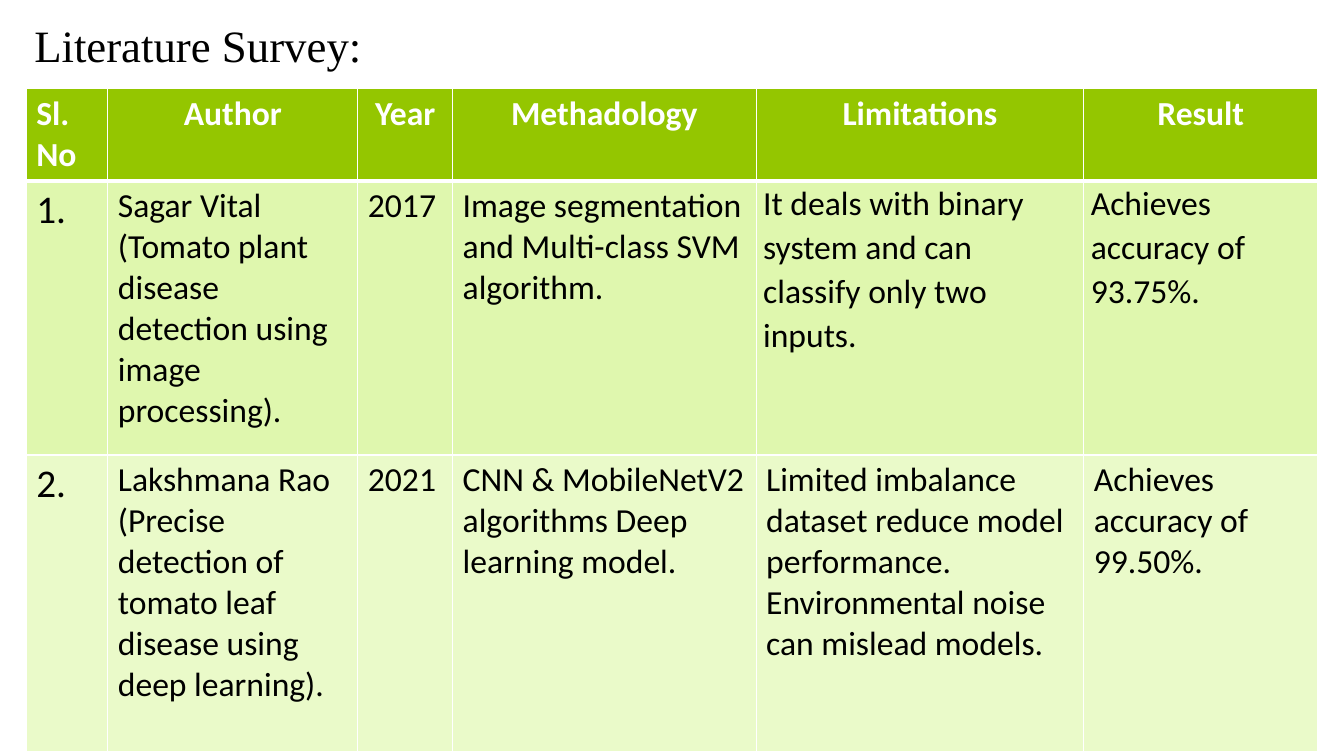
"""Build the literature survey slide: a title above a table of papers."""
from lxml.etree import SubElement
from pptx import Presentation
from pptx.dml.color import RGBColor
from pptx.enum.text import MSO_ANCHOR, PP_ALIGN
from pptx.oxml.ns import qn
from pptx.util import Inches, Pt

TITLE = "Literature Survey:"
ROWS = [
    ["Sl.\nNo", "Author", "Year", "Methadology", "Limitations", "Result"],
    ["1.", "Sagar Vital (Tomato plant disease detection using image processing).",
     "2017", "Image segmentation and Multi-class SVM algorithm.",
     "It deals with binary system and can classify only two inputs.",
     "Achieves accuracy of 93.75%."],
    ["2.", "Lakshmana Rao (Precise detection of tomato leaf disease using deep learning).",
     "2021", "CNN & MobileNetV2 algorithms Deep learning model.",
     "Limited imbalance dataset reduce model performance. "
     "Environmental noise can mislead models.",
     "Achieves accuracy of 99.50%."],
]
COLUMN_WIDTHS = [0.81, 2.48, 0.94, 3.01, 3.25, 2.32]
ROW_HEIGHTS = [0.9, 2.72, 2.94]
ROW_FILLS = ["94C600", "DFF7AE", "EAFAC9"]
LOOSE_CELLS = [(1, 4), (1, 5)]


def color(value):
    return RGBColor.from_string(value)


def style_font(font, name, size, value, bold=False):
    font.name, font.size, font.bold = name, Pt(size), bold
    font.color.rgb = color(value)


def add_borders(cell, bottom):
    properties = cell._tc.get_or_add_tcPr()
    for side, width in (("L", 1), ("R", 1), ("T", 1), ("B", bottom)):
        line = SubElement(properties, qn(f"a:ln{side}"), w=str(Pt(width)))
        SubElement(SubElement(line, qn("a:solidFill")), qn("a:srgbClr"), val="FFFFFF")


def fill_cell(cell, text, row, column):
    header = row == 0
    add_borders(cell, 3 if header else 1)
    cell.fill.solid()
    cell.fill.fore_color.rgb = color(ROW_FILLS[row])
    cell.text = text
    loose = (row, column) in LOOSE_CELLS
    if loose:
        cell.margin_left = cell.margin_right = Inches(0.07)
        cell.margin_top = cell.margin_bottom = 0
    for para in cell.text_frame.paragraphs:
        size = 28 if column == 0 and not header else 24
        style_font(para.font, "Calibri", size, "FFFFFF" if header else "000000", header)
        para.alignment = PP_ALIGN.CENTER if header and column else PP_ALIGN.LEFT
        if loose:
            para.line_spacing = 1.07
            para.space_after = Pt(15.7)


def add_title(page):
    box = page.shapes.add_textbox(Inches(-0.45), 0, Inches(4.83), Inches(0.88))
    frame = box.text_frame
    frame.word_wrap = True
    frame.vertical_anchor = MSO_ANCHOR.MIDDLE
    para = frame.paragraphs[0]
    para.text = TITLE
    para.alignment = PP_ALIGN.CENTER
    style_font(para.font, "Times New Roman", 32, "000000")


def add_survey(page):
    table = page.shapes.add_table(
        len(ROWS), len(COLUMN_WIDTHS), Inches(0.26), Inches(0.88),
        Inches(sum(COLUMN_WIDTHS)), Inches(sum(ROW_HEIGHTS))).table
    for column, width in zip(table.columns, COLUMN_WIDTHS):
        column.width = Inches(width)
    for row, height in zip(table.rows, ROW_HEIGHTS):
        row.height = Inches(height)
    for row, texts in enumerate(ROWS):
        for column, text in enumerate(texts):
            fill_cell(table.cell(row, column), text, row, column)


def main():
    deck = Presentation()
    deck.slide_width, deck.slide_height = Inches(13.33), Inches(7.5)
    page = deck.slides.add_slide(deck.slide_layouts[6])
    add_survey(page)
    add_title(page)
    deck.save("out.pptx")


if __name__ == "__main__":
    main()
